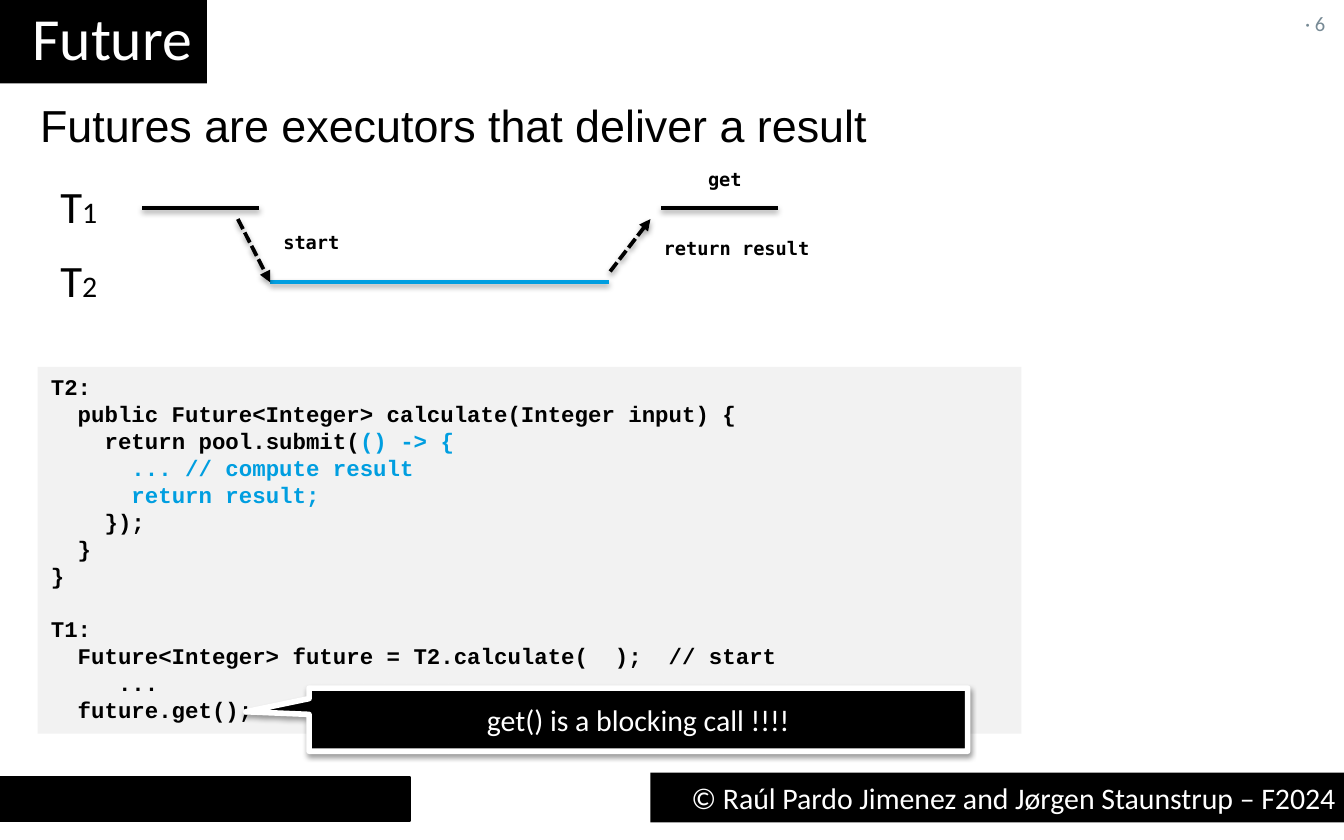
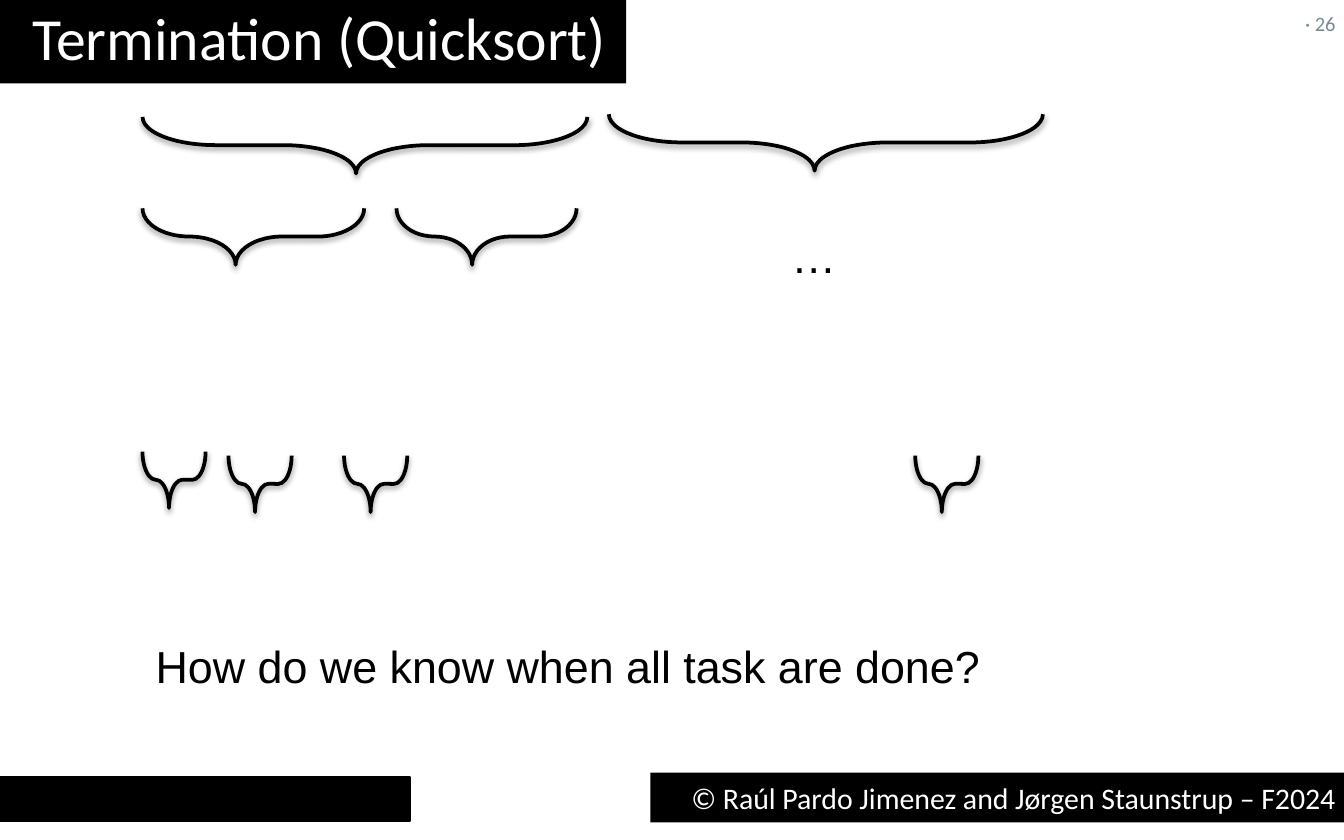
import dataclasses
import typing

import lxml.etree
import pptx
import pptx.dml.color
import pptx.enum.dml
import pptx.enum.shapes
import pptx.enum.text
import pptx.oxml
import pptx.oxml.ns
import pptx.util

Inches = pptx.util.Inches
Pt = pptx.util.Pt
RGBColor = pptx.dml.color.RGBColor
Preset = pptx.enum.shapes.MSO_SHAPE
Align = pptx.enum.text.PP_ALIGN
Anchor = pptx.enum.text.MSO_ANCHOR
AutoSize = pptx.enum.text.MSO_AUTO_SIZE

BLACK = RGBColor(0x00, 0x00, 0x00)
WHITE = RGBColor(0xFF, 0xFF, 0xFF)
BLUE = RGBColor(0x00, 0x9E, 0xE0)
CODE_GREY = RGBColor(0xF2, 0xF2, 0xF2)
NUMBER_GREY = RGBColor(0x77, 0x8A, 0x95)

UI_FONT = "Calibri"
BODY_FONT = "Arial"
CODE_FONT = "Courier New"
LABEL_FONT = "DejaVu Sans Mono"

DEFAULT_INSETS = (0.1, 0.05, 0.1, 0.05)
CODE_CHAR_WIDTH = 0.1
CODE_LINE = 14.4
BRACE_HEIGHT = 0.42

SHADOW = (
    '<a:outerShdw xmlns:a="http://schemas.openxmlformats.org/drawingml/2006/main"'
    ' blurRad="39370" dist="20320" dir="5400000" rotWithShape="0">'
    '<a:srgbClr val="000000"><a:alpha val="38000"/></a:srgbClr></a:outerShdw>'
)


class Box(typing.NamedTuple):
    left: float
    top: float
    width: float
    height: float

    def lengths(self) -> list[int]:
        return [Inches(side) for side in self]


class Run(typing.NamedTuple):
    text: str
    size: float | None = None
    color: RGBColor | None = None


@dataclasses.dataclass
class Paragraph:
    runs: list[Run]
    indent: int = 0  # in code characters
    space_before: float = 0


@dataclasses.dataclass
class ThreadLine:
    start: tuple[float, float]
    end: tuple[float, float]
    color: RGBColor = BLACK
    is_signal: bool = False


@dataclasses.dataclass
class Brace:
    """A downward brace, placed by its visible left, top and width."""
    left: float
    top: float
    width: float
    tip: float = 0.58


def code(text: str, indent: int = 0, color: RGBColor = BLACK, space_before: float = 0) -> Paragraph:
    return Paragraph([Run(text, color=color)], indent, space_before)


def write(shape, text: str | list[Paragraph], *, size: float, font: str = UI_FONT,
          color: RGBColor = BLACK, bold: bool = False, align=Align.LEFT, anchor=Anchor.TOP,
          insets: tuple = DEFAULT_INSETS, wrap: bool = True, grow: bool = False,
          line_spacing: float | None = None) -> None:
    frame = shape.text_frame
    frame.word_wrap = wrap
    frame.auto_size = AutoSize.SHAPE_TO_FIT_TEXT if grow else AutoSize.NONE
    frame.vertical_anchor = anchor
    (frame.margin_left, frame.margin_top,
     frame.margin_right, frame.margin_bottom) = map(Inches, insets)
    content = [Paragraph([Run(text)])] if isinstance(text, str) else text
    for index, item in enumerate(content):
        paragraph = frame.add_paragraph() if index else frame.paragraphs[0]
        paragraph.alignment = align
        paragraph.space_before = Pt(item.space_before)
        if line_spacing:
            paragraph.line_spacing = Pt(line_spacing)
        if item.indent:
            properties = paragraph._p.get_or_add_pPr()
            properties.set("marL", str(Inches(item.indent * CODE_CHAR_WIDTH)))
            properties.set("indent", "0")
        for part in item.runs:
            run = paragraph.add_run()
            run.text = part.text
            run.font.name = font
            run.font.size = Pt(part.size or size)
            run.font.bold = bold
            run.font.color.rgb = part.color or color


def add_label(slide, box: Box, text: str | list[Paragraph], *, wrap: bool = False,
              grow: bool = True, **text_format) -> None:
    label = slide.shapes.add_textbox(*box.lengths())
    write(label, text, wrap=wrap, grow=grow, **text_format)


def set_effects(shape, shadow: bool) -> None:
    """Replace the theme's shadow with the soft one, or with none."""
    properties = shape._element.spPr
    for old in properties.findall(pptx.oxml.ns.qn("a:effectLst")):
        properties.remove(old)
    effects = lxml.etree.SubElement(properties, pptx.oxml.ns.qn("a:effectLst"))
    if shadow:
        effects.append(pptx.oxml.parse_xml(SHADOW))


def add_panel(slide, box: Box, *, preset=Preset.RECTANGLE, fill: RGBColor | None = BLACK,
              line: RGBColor | None = None, line_width: float = 1, shadow: bool = False,
              adjustments: tuple = ()):
    panel = slide.shapes.add_shape(preset, *box.lengths())
    if fill is None:
        panel.fill.background()
    else:
        panel.fill.solid()
        panel.fill.fore_color.rgb = fill
    if line is None:
        panel.line.fill.background()
    else:
        panel.line.color.rgb = line
        panel.line.width = Pt(line_width)
    for index, value in enumerate(adjustments):
        panel.adjustments[index] = value
    panel.shadow.inherit = False
    set_effects(panel, shadow)
    return panel


def add_thread_line(slide, thread: ThreadLine) -> None:
    connector = slide.shapes.add_connector(
        pptx.enum.shapes.MSO_CONNECTOR.STRAIGHT,
        *(Inches(value) for value in thread.start + thread.end))
    connector.line.color.rgb = thread.color
    connector.line.width = Pt(2)
    if thread.is_signal:
        connector.line.dash_style = pptx.enum.dml.MSO_LINE.SQUARE_DOT
        arrowhead = lxml.etree.SubElement(
            connector.line._get_or_add_ln(), pptx.oxml.ns.qn("a:tailEnd"))
        arrowhead.set("type", "triangle")
    set_effects(connector, shadow=True)


def add_brace(slide, brace: Brace) -> None:
    # A right brace turned by 90 degrees about its centre
    shift = (brace.width - BRACE_HEIGHT) / 2
    box = Box(brace.left + shift, brace.top - shift, BRACE_HEIGHT, brace.width)
    shape = add_panel(slide, box, preset=Preset.RIGHT_BRACE, fill=None, line=BLACK,
                      line_width=2, shadow=True, adjustments=(1.295, brace.tip))
    shape.rotation = 90


def add_slide(deck, title: str, title_width: float, number: int):
    """Start a slide with its title, number and footer bands."""
    slide = deck.slides.add_slide(deck.slide_layouts[6])
    add_panel(slide, Box(0, 5.78, 3.05, 0.33), line=BLACK)
    credit = add_panel(slide, Box(4.84, 5.75, 5.2, 0.37))
    write(credit, "© Raúl Pardo Jimenez and Jørgen Staunstrup – F2024",
          size=16, color=WHITE, align=Align.RIGHT, grow=True)
    heading = add_panel(slide, Box(0, 0, title_width, 0.62))
    write(heading, title, size=32, color=WHITE, anchor=Anchor.MIDDLE,
          insets=(0.24, 0, 0.1, 0.08), wrap=False, grow=True)
    add_label(slide, Box(9.71, 0.05, 0.25, 0.24), f"· {number}", size=11, color=NUMBER_GREY,
              anchor=Anchor.MIDDLE, insets=(0, 0, 0, 0), wrap=True, grow=False)
    return slide


def build_future(deck) -> None:
    slide = add_slide(deck, "Future", 1.54, 6)
    add_label(slide, Box(0.2, 0.68, 6.41, 0.5), "Futures are executors that deliver a result",
              size=24, font=BODY_FONT)

    for thread_number, top in (("1", 1.28), ("2", 1.83)):
        name = [Paragraph([Run("T"), Run(thread_number, size=16)])]
        add_label(slide, Box(0.35, top, 0.48, 0.5), name, size=24)

    for thread in (
        ThreadLine((1.06, 1.55), (1.93, 1.55)),
        ThreadLine((4.92, 1.55), (5.79, 1.55)),
        ThreadLine((2.01, 2.1), (4.53, 2.1), BLUE),
        ThreadLine((1.77, 1.63), (2.01, 2.1), is_signal=True),
        ThreadLine((4.54, 2.02), (4.84, 1.63), is_signal=True),
    ):
        add_thread_line(slide, thread)

    for event, box in (
        ("start", Box(2.01, 1.67, 0.62, 0.27)),
        ("return result", Box(4.84, 1.71, 1.3, 0.27)),
        ("get", Box(5.17, 1.2, 0.46, 0.27)),
    ):
        add_label(slide, box, event, size=10, font=LABEL_FONT, bold=True)

    listing = [
        code("T2:"),
        code("public Future<Integer> calculate(Integer input) {", 2),
        Paragraph([Run("return pool.submit("), Run("() -> {", color=BLUE)], 4),
        code("... // compute result", 6, BLUE),
        code("return result;", 6, BLUE),
        code("});", 4),
        code("}", 2),
        code("}"),
        code("T1:", space_before=CODE_LINE),
        code("Future<Integer> future = T2.calculate(  );  // start", 2),
        code("...", 5),
        code("future.get();", 2),
    ]
    listing_panel = add_panel(slide, Box(0.28, 2.73, 7.32, 2.73), fill=CODE_GREY)
    write(listing_panel, listing, size=12, font=CODE_FONT, bold=True, line_spacing=CODE_LINE)

    warning = add_panel(slide, Box(2.3, 5.12, 4.9, 0.47), preset=Preset.RECTANGULAR_CALLOUT,
                        line=WHITE, line_width=3, shadow=True, adjustments=(-0.596, -0.125))
    write(warning, "get() is a blocking call !!!!", size=16, color=WHITE,
          align=Align.CENTER, anchor=Anchor.MIDDLE)


def build_termination(deck) -> None:
    slide = add_slide(deck, "Termination (Quicksort)", 4.66, 26)
    halves = [Brace(1.06, 0.87, 3.31, 0.52), Brace(4.53, 0.85, 3.23, 0.526)]
    quarters = [Brace(1.06, 1.55, 1.65), Brace(2.95, 1.55, 1.34)]
    leaves = [Brace(1.06, 3.36, 0.47)]
    leaves += [Brace(left, 3.39, 0.47) for left in (1.7, 2.56, 6.81)]
    for brace in halves + quarters + leaves:
        add_brace(slide, brace)

    add_label(slide, Box(5.79, 1.65, 0.54, 0.5), "…", size=24, font=BODY_FONT)
    add_label(slide, Box(1.06, 4.7, 6.4, 0.5), "How do we know when all task are done?",
              size=24, font=BODY_FONT)


def main() -> None:
    deck = pptx.Presentation()
    deck.slide_width = Inches(10)
    deck.slide_height = Inches(6.25)
    build_future(deck)
    build_termination(deck)
    deck.save("out.pptx")


if __name__ == "__main__":
    main()
